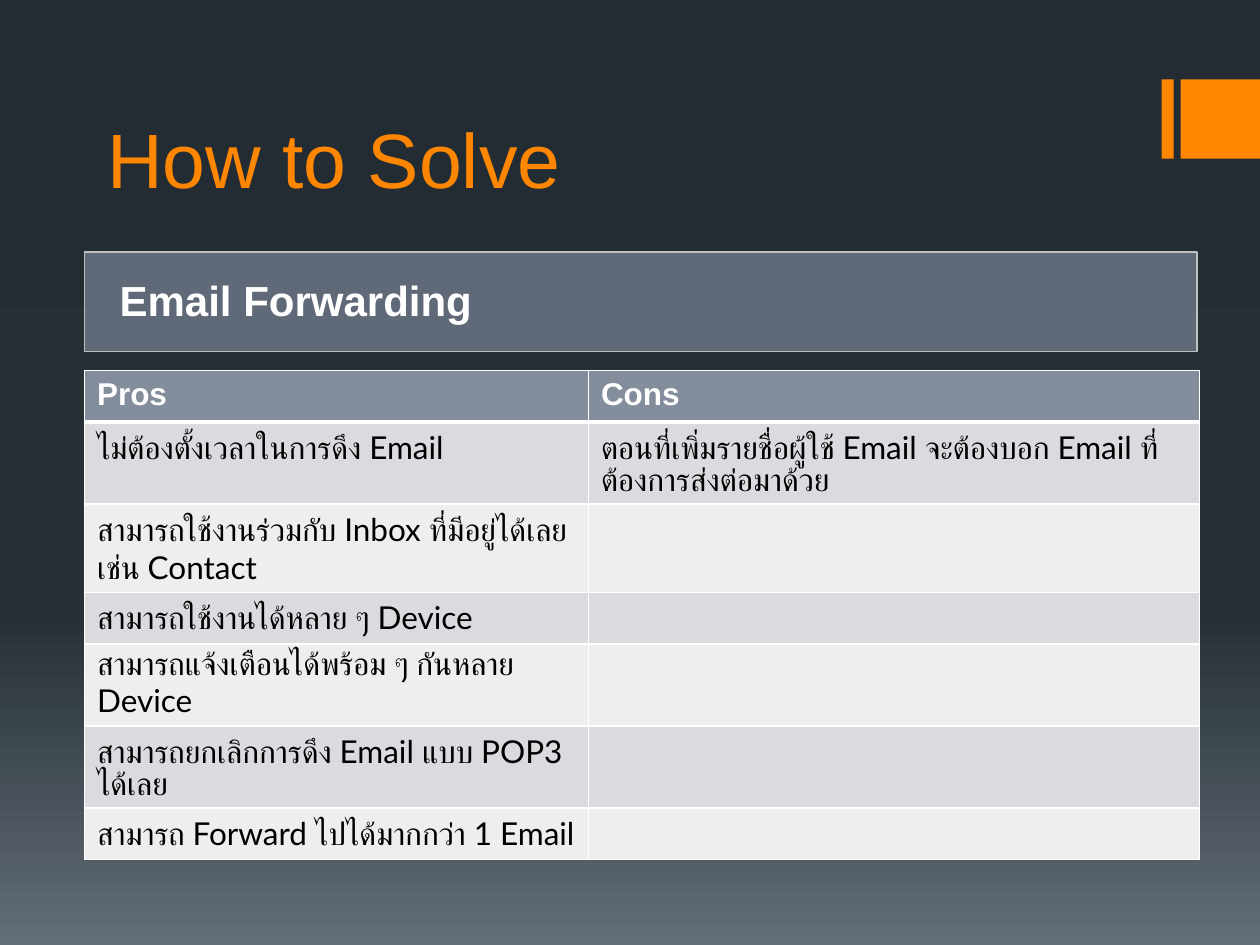
from copy import deepcopy

from pptx import Presentation
from pptx import util as u
from pptx.dml.color import RGBColor
from pptx.enum import shapes, text
from pptx.oxml import ns, xmlchemy

ORANGE = RGBColor(0xFF, 0x86, 0x00)
WHITE = RGBColor(0xFF, 0xFF, 0xFF)
BLACK = RGBColor(0x00, 0x00, 0x00)
SILVER = RGBColor(0xC0, 0xC0, 0xC0)
SLATE = RGBColor(0x60, 0x69, 0x77)
HEADER = RGBColor(0x83, 0x8D, 0x9B)
BANDS = (RGBColor(0xED, 0xEE, 0xEF), RGBColor(0xD9, 0xDB, 0xDE))
BACKDROP = (
    (0, RGBColor(0x24, 0x2C, 0x33)),
    (0.65, RGBColor(0x27, 0x30, 0x37)),
    (1, RGBColor(0x63, 0x6D, 0x76)),
)

ROWS = (
    ("Pros", "Cons"),
    ("ไม่ต้องตั้งเวลาในการดึง Email",
     "ตอนที่เพิ่มรายชื่อผู้ใช้ Email จะต้องบอก Email ที่ต้องการส่งต่อมาด้วย"),
    ("สามารถใช้งานร่วมกับ Inbox ที่มีอยู่ได้เลย เช่น Contact", ""),
    ("สามารถใช้งานได้หลาย ๆ Device", ""),
    ("สามารถแจ้งเตือนได้พร้อม ๆ กันหลาย Device", ""),
    ("สามารถยกเลิกการดึง Email แบบ POP3 ได้เลย", ""),
    ("สามารถ Forward ไปได้มากกว่า 1 Email", ""),
)


def write(frame, words, size=18, font="Arial", color=WHITE, bold=False, spacing=None):
    para = frame.paragraphs[0]
    para.alignment = text.PP_ALIGN.LEFT
    if spacing:
        para.line_spacing = spacing
    span = para.add_run()
    span.text = words
    span.font.size = u.Pt(size)
    span.font.name = font
    span.font.bold = bold
    span.font.color.rgb = color


class SlideBuilder:
    """Draws styled elements on one slide, placed in percent of its size."""

    def __init__(self, deck):
        self.deck = deck
        self.page = deck.slides.add_slide(deck.slide_layouts[5])

    def place(self, left, top, width, height):
        across, down = self.deck.slide_width / 100, self.deck.slide_height / 100
        return [int(n) for n in (left * across, top * down, width * across, height * down)]

    def backdrop(self, stops):
        fill = self.page.background.fill
        fill.gradient()
        fill.gradient_angle = 270
        stop_list = self.page._element.find(".//" + ns.qn("a:gsLst"))
        stop_list.append(deepcopy(stop_list[-1]))
        for stop, (position, color) in zip(fill.gradient_stops, stops):
            stop.position = position
            stop.color.rgb = color

    def title(self, words, place):
        title = self.page.shapes.title
        title.left, title.top, title.width, title.height = self.place(*place)
        frame = title.text_frame
        frame.auto_size = text.MSO_AUTO_SIZE.NONE
        frame.vertical_anchor = text.MSO_ANCHOR.BOTTOM
        write(frame, words, size=44, color=ORANGE)

    def box(self, place, color, outline=None):
        box = self.page.shapes.add_shape(shapes.MSO_SHAPE.RECTANGLE, *self.place(*place))
        box.shadow.inherit = False
        box.fill.solid()
        box.fill.fore_color.rgb = color
        if outline:
            box.line.color.rgb = outline
            box.line.width = u.Pt(1)
        else:
            box.line.fill.background()
        return box

    def banner(self, words, place):
        frame = self.box(place, SLATE, SILVER).text_frame
        frame.word_wrap = True
        frame.vertical_anchor = text.MSO_ANCHOR.MIDDLE
        frame.margin_left = u.Inches(0.28)
        frame.margin_right = frame.margin_top = frame.margin_bottom = u.Inches(0.08)
        write(frame, words, size=24, bold=True, spacing=0.95)

    def borders(self, cell, top, bottom):
        properties = cell._tc.get_or_add_tcPr()
        for side, points in (("lnL", 1), ("lnR", 1), ("lnT", top), ("lnB", bottom)):
            line = xmlchemy.OxmlElement("a:" + side)
            line.set("w", str(u.Pt(points)))
            solid = xmlchemy.OxmlElement("a:solidFill")
            color = xmlchemy.OxmlElement("a:srgbClr")
            color.set("val", str(WHITE))
            solid.append(color)
            line.append(solid)
            properties.append(line)

    def table(self, rows, place, widths, heights):
        table = self.page.shapes.add_table(
            len(rows), len(widths), *self.place(*place)).table
        for column, width in zip(table.columns, widths):
            column.width = u.Inches(width)
        for r, (row, height) in enumerate(zip(rows, heights)):
            table.rows[r].height = u.Inches(height)
            for c, words in enumerate(row):
                cell = table.cell(r, c)
                self.borders(cell, top=3 if r == 1 else 1, bottom=1 if r else 3)
                cell.fill.solid()
                cell.fill.fore_color.rgb = BANDS[r % 2] if r else HEADER
                if words and r:
                    write(cell.text_frame, words, font="Lato", color=BLACK)
                elif words:
                    write(cell.text_frame, words, bold=True)


deck = Presentation()
deck.slide_width, deck.slide_height = u.Inches(10), u.Inches(7.5)
slide = SlideBuilder(deck)
slide.backdrop(BACKDROP)
for left, width in ((92.2, 0.95), (93.7, 6.3)):
    slide.box((left, 8.4, width, 8.4), ORANGE)
slide.title("How to Solve", (7.5, 5.6, 85, 16.67))
slide.banner("Email Forwarding", (6.7, 26.67, 88.3, 10.53))
slide.table(ROWS, (6.7, 39.2, 88.5, 51.7), (4, 4.85),
            (0.41, 0.65, 0.7, 0.41, 0.65, 0.65, 0.41))
deck.save("out.pptx")
